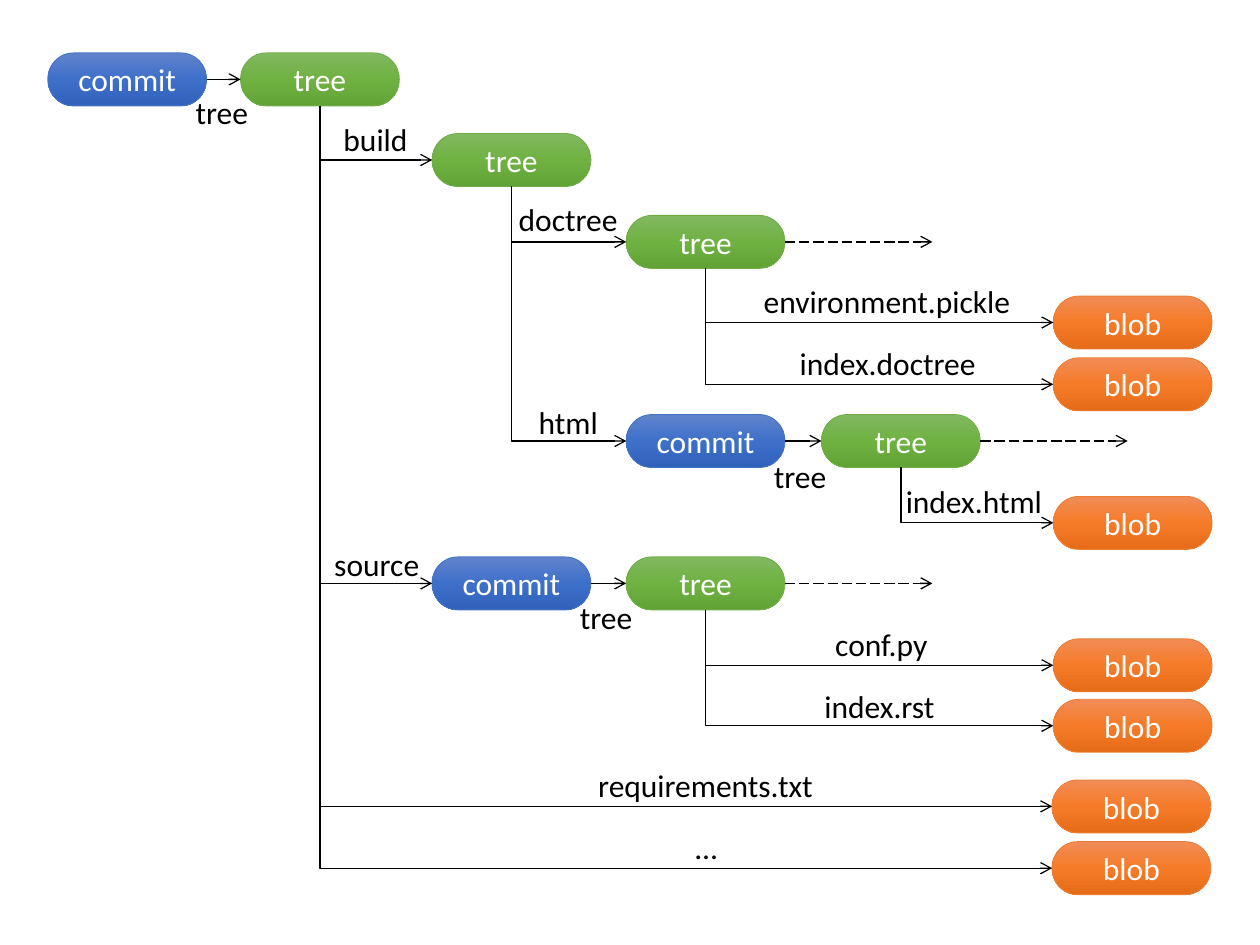
from copy import deepcopy
from lxml.etree import SubElement
from pptx import Presentation
from pptx.dml.color import RGBColor
from pptx.enum.dml import MSO_LINE
from pptx.enum.shapes import MSO_CONNECTOR, MSO_SHAPE
from pptx.enum.text import MSO_ANCHOR, MSO_AUTO_SIZE, PP_ALIGN
from pptx.oxml.ns import qn
from pptx.util import Inches, Pt

NODE_W, NODE_H = 1.26, 0.42
LABEL_H = 0.4
DASH_LEN = 1.17
BOTTOM, LEFT, RIGHT = 2, 1, 3
STYLES = {
    "commit": (("6183CB", "3E70CA", "3062BB"), "4472C4"),
    "tree": (("81B861", "6FB242", "62A336"), "70AD47"),
    "blob": (("F18C57", "F67B28", "E56C19"), "ED7D31"),
}
NODES = {
    "root commit": ("commit", 0.38, 0.42),
    "root": ("tree", 1.91, 0.42),
    "build": ("tree", 3.43, 1.06),
    "doctree": ("tree", 4.97, 1.71),
    "pickle": ("blob", 8.36, 2.35),
    "index.doctree": ("blob", 8.36, 2.84),
    "html commit": ("commit", 4.97, 3.29),
    "html": ("tree", 6.52, 3.29),
    "index.html": ("blob", 8.36, 3.94),
    "source commit": ("commit", 3.43, 4.42),
    "source": ("tree", 4.97, 4.42),
    "conf": ("blob", 8.36, 5.07),
    "index.rst": ("blob", 8.36, 5.55),
    "requirements": ("blob", 8.35, 6.19),
    "more": ("blob", 8.35, 6.68),
}
BRANCHES = [
    ("root", "build", "build", 2.62, 0.9, 0.72),
    ("root", "source commit", "source", 2.55, 4.28, 0.88),
    ("root", "requirements", "requirements.txt", 4.64, 6.03, 1.92),
    ("root", "more", "...", 5.41, 6.52, 0.39),
    ("build", "doctree", "doctree", 4.01, 1.54, 1),
    ("build", "html commit", "html", 4.17, 3.15, 0.68),
    ("doctree", "pickle", "environment.pickle", 5.95, 2.19, 2.18),
    ("doctree", "index.doctree", "index.doctree", 6.24, 2.68, 1.61),
    ("html", "index.html", "index.html", 7.08, 3.78, 1.3),
    ("source", "conf", "conf.py", 6.51, 4.91, 0.97),
    ("source", "index.rst", "index.rst", 6.44, 5.4, 1.08),
]
COMMIT_LINKS = [
    ("root commit", "root", "tree", 1.45, 0.69, 0.62),
    ("html commit", "html", "tree", 6.04, 3.58, 0.62),
    ("source commit", "source", "tree", 4.5, 4.7, 0.62),
]
DASHED = ["doctree", "html", "source"]


def rgb(color):
    return RGBColor.from_string(color)


def write(sp, text, color):
    tf = sp.text_frame
    tf.text = text
    p = tf.paragraphs[0]
    p.alignment = PP_ALIGN.CENTER
    font = p.runs[0].font
    font.name, font.size = "Calibri", Pt(18)
    font.color.rgb = rgb(color)
    return tf


def add_node(kind, x, y):
    sp = s.shapes.add_shape(MSO_SHAPE.FLOWCHART_TERMINATOR,
                            Inches(x), Inches(y), Inches(NODE_W), Inches(NODE_H))
    sp.shadow.inherit = False
    colors, edge = STYLES[kind]
    sp.fill.gradient()
    sp.fill.gradient_angle = 270
    stops = sp._element.spPr.find(qn("a:gradFill")).find(qn("a:gsLst"))
    stops.insert(1, deepcopy(stops[0]))
    for stop, color, pos in zip(sp.fill.gradient_stops, colors, (0, 0.5, 1)):
        stop.color.rgb = rgb(color)
        stop.position = pos
    sp.line.color.rgb = rgb(edge)
    sp.line.width = Pt(0.5)
    write(sp, kind, "FFFFFF").vertical_anchor = MSO_ANCHOR.MIDDLE
    return sp


def add_label(text, x, y, w):
    tb = s.shapes.add_textbox(Inches(x), Inches(y), Inches(w), Inches(LABEL_H))
    tf = write(tb, text, "000000")
    tf.word_wrap = False
    tf.auto_size = MSO_AUTO_SIZE.SHAPE_TO_FIT_TEXT


def add_arrow(start, site, end=None, dash=None):
    kind = MSO_CONNECTOR.ELBOW if site == BOTTOM else MSO_CONNECTOR.STRAIGHT
    x, y = start.left + start.width, start.top + start.height // 2
    c = s.shapes.add_connector(kind, x, y, x + Inches(DASH_LEN), y)
    c.begin_connect(start, site)
    if end is not None:
        c.end_connect(end, LEFT)
    c.line.color.rgb = rgb("000000")
    c.line.width = Pt(0.75)
    if dash:
        c.line.dash_style = dash
    SubElement(c.line._get_or_add_ln(), qn("a:tailEnd"), type="arrow")
    SubElement(c._element.spPr, qn("a:effectLst"))
    return c


def bend_down_then_right(c):
    x, y = c.begin_x, c.begin_y
    across, down = c.end_x - x, c.end_y - y
    c.left, c.top = x + (across - down) // 2, y + (down - across) // 2
    c.width, c.height = down, across
    xfrm = c._element.spPr.find(qn("a:xfrm"))
    xfrm.set("rot", "16200000")
    xfrm.set("flipH", "1")
    c._element.spPr.find(qn("a:prstGeom")).set("prst", "bentConnector2")


prs = Presentation()
prs.slide_width, prs.slide_height = Inches(10), Inches(7.5)
s = prs.slides.add_slide(prs.slide_layouts[6])

nodes = {name: add_node(*node) for name, node in NODES.items()}
for parent, child, *label in BRANCHES:
    bend_down_then_right(add_arrow(nodes[parent], BOTTOM, nodes[child]))
    add_label(*label)
for commit, tree, *label in COMMIT_LINKS:
    add_arrow(nodes[commit], RIGHT, nodes[tree])
    add_label(*label)
for tree in DASHED:
    add_arrow(nodes[tree], RIGHT, dash=MSO_LINE.LONG_DASH)

prs.save("out.pptx")
